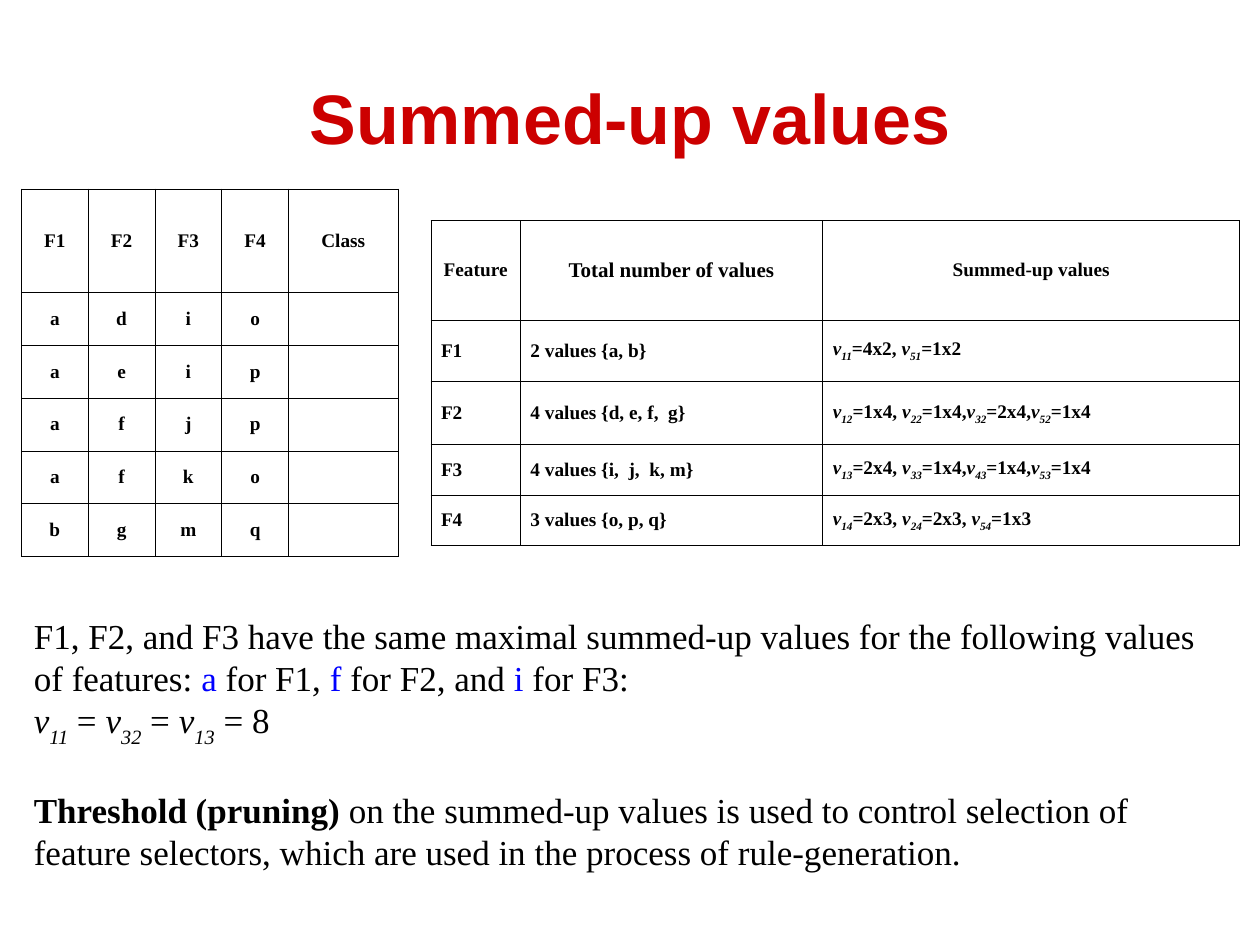
from dataclasses import dataclass

from lxml.etree import SubElement
from pptx import Presentation
from pptx.dml.color import RGBColor
from pptx.enum.text import MSO_ANCHOR, PP_ALIGN
from pptx.oxml.ns import qn
from pptx.util import Inches, Pt

BLACK = RGBColor(0x00, 0x00, 0x00)
RED = RGBColor(0xCC, 0x00, 0x00)
BLUE = RGBColor(0x00, 0x00, 0xFF)


@dataclass
class Span:
    text: str
    color: RGBColor = BLACK
    bold: bool = False
    italic: bool = False
    baseline: int = 0


def indexed_values(pairs, bold=False, drop=-25):
    """Spans for a series of v with a subscript, each followed by plain text."""
    spans = []
    for index, tail in pairs:
        spans += [
            Span("v", bold=bold, italic=True),
            Span(index, bold=bold, italic=True, baseline=drop),
            Span(tail, bold=bold),
        ]
    return spans


def add_border(cell, color, width):
    properties = cell._tc.get_or_add_tcPr()
    for side in ("a:lnL", "a:lnR", "a:lnT", "a:lnB"):
        line = SubElement(properties, qn(side), w=str(Pt(width)))
        fill = SubElement(line, qn("a:solidFill"))
        SubElement(fill, qn("a:srgbClr"), val=str(color))


class SlideBuilder:
    body_font = "Times New Roman"
    title_font = "Arial"
    border_width = 0.45

    def __init__(self, page):
        self.page = page

    def add_spans(self, para, spans, size, font=body_font):
        for span in spans:
            run = para.add_run()
            run.text = span.text
            run.font.name = font
            run.font.size = Pt(size)
            run.font.bold = span.bold
            run.font.italic = span.italic
            run.font.color.rgb = span.color
            if span.baseline:
                run.font._element.set("baseline", str(span.baseline * 1000))

    def title(self, text, left, top, width, height):
        box = self.page.shapes.title
        box.left, box.top = Inches(left), Inches(top)
        box.width, box.height = Inches(width), Inches(height)
        box.text_frame.vertical_anchor = MSO_ANCHOR.MIDDLE
        para = box.text_frame.paragraphs[0]
        para.alignment = PP_ALIGN.CENTER
        self.add_spans(para, [Span(text, RED, bold=True)], 40, self.title_font)

    def table(self, left, top, widths, heights, rows, centered_rows, size_at):
        """Bordered table; size_at(row, column) gives the text size."""
        frame = self.page.shapes.add_table(
            len(rows), len(widths), Inches(left), Inches(top),
            Inches(sum(widths)), Inches(sum(heights)))
        table = frame.table
        table.first_row = table.horz_banding = False
        for column, width in zip(table.columns, widths):
            column.width = Inches(width)
        for row, height in zip(table.rows, heights):
            row.height = Inches(height)
        for r, contents in enumerate(rows):
            for c, content in enumerate(contents):
                cell = table.cell(r, c)
                add_border(cell, BLACK, self.border_width)
                cell.fill.background()
                cell.vertical_anchor = MSO_ANCHOR.MIDDLE
                cell.margin_left = cell.margin_right = Inches(0.08)
                para = cell.text_frame.paragraphs[0]
                if r < centered_rows:
                    para.alignment = PP_ALIGN.CENTER
                if isinstance(content, str):
                    content = [Span(content, bold=True)] if content else []
                self.add_spans(para, content, size_at(r, c))

    def text(self, left, top, width, height, paragraphs, size):
        """Text box from (space before, spans) pairs."""
        box = self.page.shapes.add_textbox(
            Inches(left), Inches(top), Inches(width), Inches(height))
        box.text_frame.word_wrap = True
        for number, (space, spans) in enumerate(paragraphs):
            para = (box.text_frame.add_paragraph() if number
                    else box.text_frame.paragraphs[0])
            if space:
                para.space_before = Pt(space)
            self.add_spans(para, spans, size)


def main():
    deck = Presentation()
    deck.slide_width, deck.slide_height = Inches(10), Inches(7.5)
    slide = SlideBuilder(deck.slides.add_slide(deck.slide_layouts[5]))

    slide.title("Summed-up values", 0.5, 0.3, 9, 1.25)

    instances = [["F1", "F2", "F3", "F4", "Class"]]
    instances += [[*values, ""] for values in ("adio", "aeip", "afjp", "afko", "bgmq")]
    slide.table(0.17, 1.5, [0.53] * 4 + [0.87], [0.82] + [0.42] * 5, instances,
                centered_rows=len(instances), size_at=lambda r, c: 11)

    summed = [
        ("F1", "2 values {a, b}", [("11", "=4x2, "), ("51", "=1x2")]),
        ("F2", "4 values {d, e, f,  g}",
         [("12", "=1x4, "), ("22", "=1x4,"), ("32", "=2x4,"), ("52", "=1x4")]),
        ("F3", "4 values {i,  j,  k, m}",
         [("13", "=2x4, "), ("33", "=1x4,"), ("43", "=1x4,"), ("53", "=1x4")]),
        ("F4", "3 values {o, p, q}",
         [("14", "=2x3, "), ("24", "=2x3, "), ("54", "=1x3")]),
    ]
    features = [["Feature", "Total number of values", "Summed-up values"]]
    features += [[name, total, indexed_values(pairs, bold=True)]
                 for name, total, pairs in summed]
    slide.table(3.42, 1.75, [0.71, 2.4, 3.31], [0.79, 0.49, 0.5, 0.4, 0.4], features,
                centered_rows=1, size_at=lambda r, c: 12 if (r, c) == (0, 1) else 11)

    slide.text(0.17, 4.83, 9.58, 2.4, [
        (0, [Span("F1, F2, and F3 have the same maximal summed-up values "
                  "for the following values of features: "),
             Span("a", BLUE), Span(" for F1, "),
             Span("f ", BLUE), Span("for F2, and"),
             Span(" i ", BLUE), Span("for F3:")]),
        (0, indexed_values([("11", " = "), ("32", " = "), ("13", " = 8")], drop=-30)),
        (23, [Span("Threshold (pruning) ", bold=True),
              Span("on the summed-up values is used to control selection of "
                   "feature selectors, which are used in the process of "
                   "rule-generation.")]),
    ], 20)

    deck.save("out.pptx")


if __name__ == "__main__":
    main()
